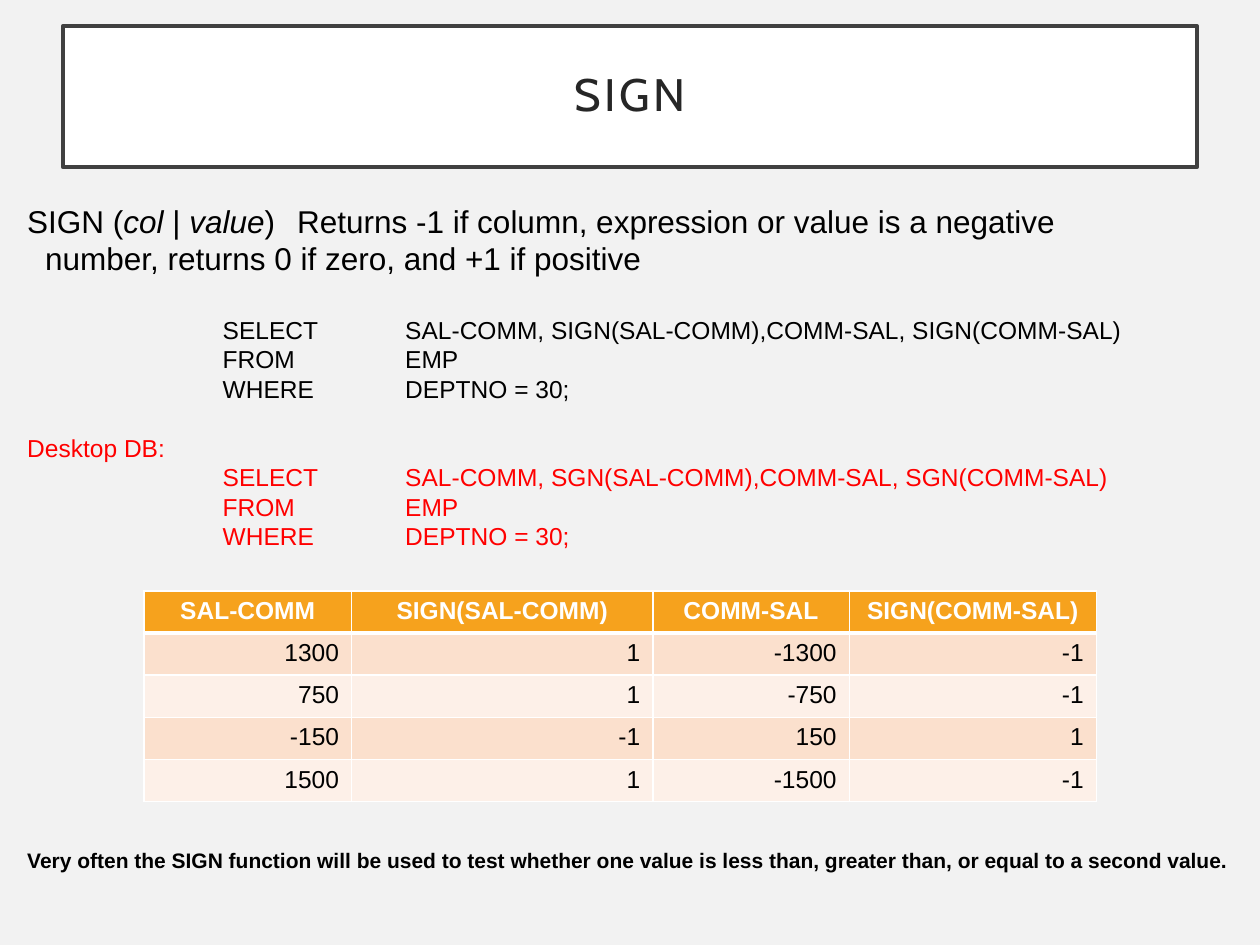
import lxml.etree
import pptx
import pptx.dml.color
import pptx.enum.shapes
import pptx.enum.text
import pptx.oxml.ns
import pptx.util

Cm = pptx.util.Cm
Pt = pptx.util.Pt
RGBColor = pptx.dml.color.RGBColor
ALIGN = pptx.enum.text.PP_ALIGN
qn = pptx.oxml.ns.qn

BACKGROUND = RGBColor(0xF2, 0xF2, 0xF2)
WHITE = RGBColor(0xFF, 0xFF, 0xFF)
BLACK = RGBColor(0x00, 0x00, 0x00)
RED = RGBColor(0xFF, 0x00, 0x00)
FRAME = RGBColor(0x40, 0x40, 0x40)
TITLE_INK = RGBColor(0x26, 0x26, 0x26)
HEADER_FILL = RGBColor(0xF6, 0xA2, 0x1D)
BAND_FILLS = [RGBColor(0xFB, 0xE0, 0xCD), RGBColor(0xFD, 0xF0, 0xE8)]

TEXT_LEFT, TEXT_WIDTH = Cm(0.3), Cm(24.79)
SYNTAX_TABS = [Cm(0.36), Cm(5.44)]
QUERY_TABS = [Cm(3.94), Cm(7.62)]

SYNTAX = [
    ("SIGN (", False),
    ("col ", True),
    ("| ", False),
    ("value", True),
    (")\tReturns -1 if column, expression or value is a negative"
     "\v\tnumber, returns 0 if zero, and +1 if positive", False),
]
COLUMN_WIDTHS = [Cm(4.19), Cm(6.07), Cm(3.96), Cm(4.98)]
HEADERS = ["SAL-COMM", "SIGN(SAL-COMM)", "COMM-SAL", "SIGN(COMM-SAL)"]
RESULTS = [
    (1300, 1, -1300, -1),
    (750, 1, -750, -1),
    (-150, -1, 150, 1),
    (1500, 1, -1500, -1),
]


def set_font(para, size, color, bold=False, name="Arial"):
    para.font.name = name
    para.font.size = Pt(size)
    para.font.bold = bold
    para.font.color.rgb = color


def add_tabs(para, positions):
    tab_list = lxml.etree.SubElement(para._p.get_or_add_pPr(), qn("a:tabLst"))
    for position in positions:
        lxml.etree.SubElement(tab_list, qn("a:tab"), pos=str(int(position)), algn="l")


def add_text_box(page, top, height):
    frame = page.shapes.add_textbox(TEXT_LEFT, top, TEXT_WIDTH, height).text_frame
    frame.word_wrap = True
    return frame


def add_title(page, text):
    box = page.shapes.add_shape(
        pptx.enum.shapes.MSO_SHAPE.RECTANGLE, Cm(1.27), Cm(0.53), Cm(22.86), Cm(2.84))
    box.shadow.inherit = False
    box.fill.solid()
    box.fill.fore_color.rgb = WHITE
    box.line.color.rgb = FRAME
    box.line.width = Pt(2.5)
    box.text_frame.vertical_anchor = pptx.enum.text.MSO_ANCHOR.MIDDLE
    para = box.text_frame.paragraphs[0]
    para.alignment = ALIGN.CENTER
    para.line_spacing = 0.9
    span = para.add_run()
    span.text = text
    span._r.get_or_add_rPr().set("spc", "200")
    set_font(para, 26, TITLE_INK, name="Cabin")


def add_syntax(para):
    add_tabs(para, SYNTAX_TABS)
    for text, italic in SYNTAX:
        for index, line in enumerate(text.split("\v")):
            if index:
                para.add_line_break()
            span = para.add_run()
            span.text = line
            span.font.italic = italic
    set_font(para, 18, BLACK)


def add_line(frame, text, color, gap=0):
    para = frame.add_paragraph()
    para.space_before = Pt(gap)
    add_tabs(para, QUERY_TABS)
    para.add_run().text = text
    set_font(para, 14, color)


def add_query(frame, function, color, gap=0):
    columns = f"SAL-COMM, {function}(SAL-COMM),COMM-SAL, {function}(COMM-SAL)"
    add_line(frame, f"\tSELECT\t{columns}", color, gap)
    add_line(frame, "\tFROM\tEMP", color)
    add_line(frame, "\tWHERE\tDEPTNO = 30;", color)


def add_border(cell, side, width):
    line = lxml.etree.SubElement(
        cell._tc.get_or_add_tcPr(), qn(f"a:ln{side}"), w=str(int(Pt(width))))
    fill = lxml.etree.SubElement(line, qn("a:solidFill"))
    lxml.etree.SubElement(fill, qn("a:srgbClr"), val=str(WHITE))


def fill_cell(cell, text, fill, color, alignment, is_header):
    for side in "LRTB":
        # A thick rule separates the header from the results
        add_border(cell, side, 3 if is_header and side == "B" else 1)
    cell.fill.solid()
    cell.fill.fore_color.rgb = fill
    para = cell.text_frame.paragraphs[0]
    para.alignment = alignment
    para.add_run().text = text
    set_font(para, 14, color, bold=is_header)


def add_result_table(page):
    row_height = Cm(0.85)
    row_count = len(RESULTS) + 1
    table = page.shapes.add_table(
        row_count, len(HEADERS), Cm(2.9), Cm(11.91),
        sum(COLUMN_WIDTHS), row_height * row_count).table
    for column, width in zip(table.columns, COLUMN_WIDTHS):
        column.width = width
    for index, text in enumerate(HEADERS):
        fill_cell(table.cell(0, index), text, HEADER_FILL, WHITE, ALIGN.CENTER, True)
    for row, values in enumerate(RESULTS):
        for index, value in enumerate(values):
            fill_cell(table.cell(row + 1, index), str(value),
                      BAND_FILLS[row % 2], BLACK, ALIGN.RIGHT, False)


def add_remark(page, text):
    para = add_text_box(page, Cm(16.97), Cm(0.8)).paragraphs[0]
    para.add_run().text = text
    set_font(para, 12, BLACK, bold=True)


def main():
    deck = pptx.Presentation()
    deck.slide_width, deck.slide_height = Cm(25.4), Cm(19.05)
    page = deck.slides.add_slide(deck.slide_layouts[6])
    page.background.fill.solid()
    page.background.fill.fore_color.rgb = BACKGROUND

    add_title(page, "SIGN")
    body = add_text_box(page, Cm(3.94), Cm(7.37))
    add_syntax(body.paragraphs[0])
    add_query(body, "SIGN", BLACK, gap=21.5)
    add_line(body, "Desktop DB:", RED, gap=17)
    add_query(body, "SGN", RED)
    add_result_table(page)
    add_remark(page, "Very often the SIGN function will be used to test whether one value "
                     "is less than, greater than, or equal to a second value.")
    deck.save("out.pptx")


if __name__ == "__main__":
    main()
